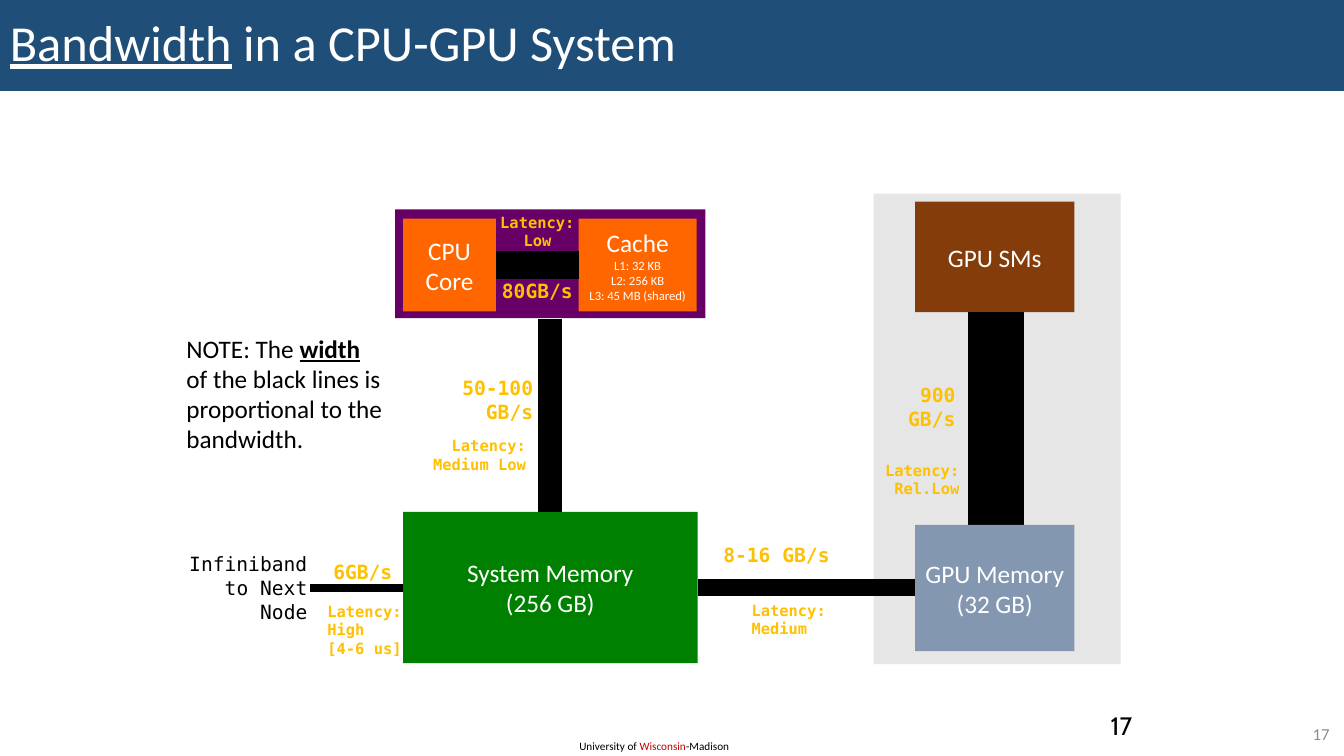
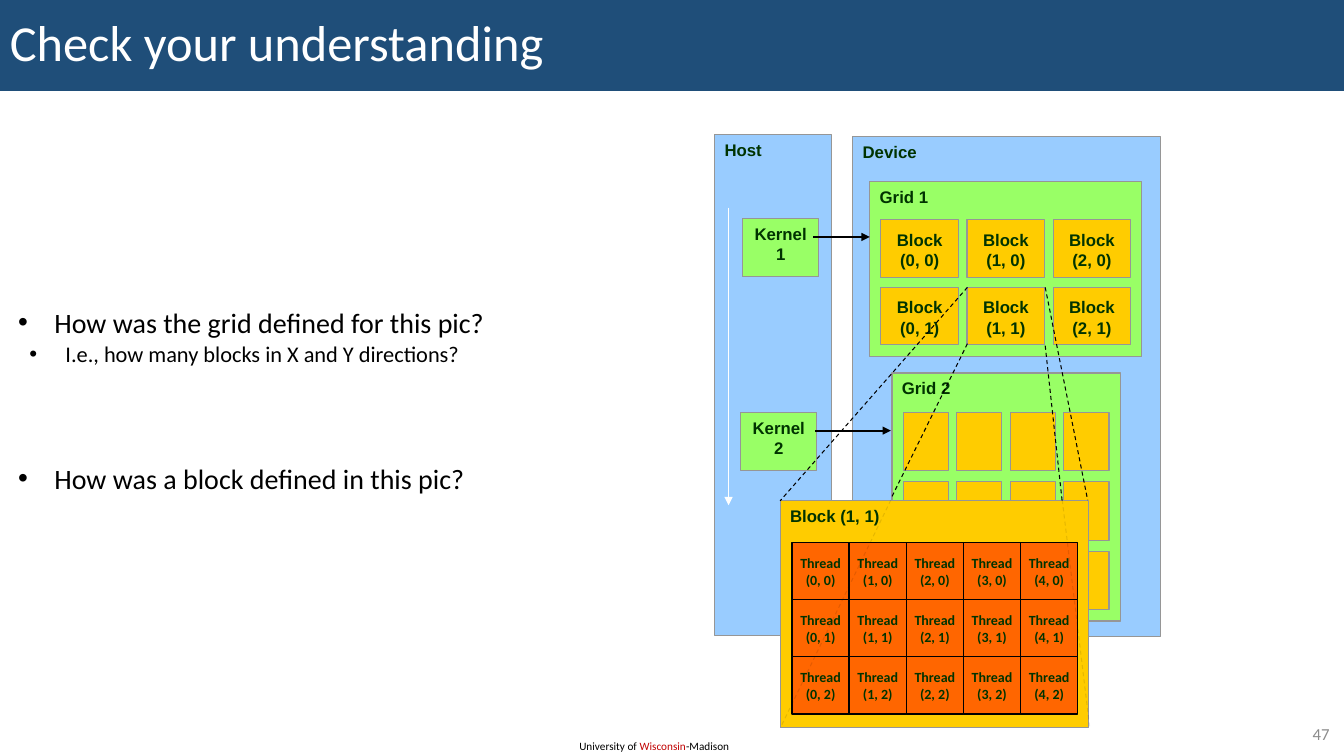
from dataclasses import dataclass
from typing import NamedTuple, Optional

import pptx
import pptx.dml.color
import pptx.enum.dml
import pptx.enum.shapes
import pptx.enum.text
import pptx.oxml.ns
import pptx.util
from lxml import etree
from pptx.util import Cm, Pt

COLORS = {
    "black": "000000", "white": "FFFFFF", "navy": "1F4E79", "red": "C00000",
    "page_gray": "8C8C8C", "panel": "E7E6E6", "green": "008000", "purple": "660066",
    "brown": "843C0B", "orange": "FF6600", "amber": "FFC000", "slate": "8497B0",
    "sky": "99CCFF", "lime": "99FF66", "gold": "FFCC00", "outline": "969696",
    "forest": "003300",
}
LEFT, CENTER, RIGHT = (pptx.enum.text.PP_ALIGN.LEFT, pptx.enum.text.PP_ALIGN.CENTER,
                       pptx.enum.text.PP_ALIGN.RIGHT)
TOP, MIDDLE = pptx.enum.text.MSO_ANCHOR.TOP, pptx.enum.text.MSO_ANCHOR.MIDDLE
DEFAULT_INSETS = (0.25, 0.13, 0.25, 0.13)
SLIDE_WIDTH, SLIDE_HEIGHT = 33.87, 19.05


class Style(NamedTuple):
    size: float
    color: str
    font: str = "Calibri"
    bold: bool = False
    underline: bool = False


class Run(NamedTuple):
    text: str
    style: Style


@dataclass(frozen=True)
class Box:
    """A filled rectangle, or a text box when it has no fill; lengths in cm."""
    left: float
    top: float
    width: float
    height: float
    paragraphs: tuple[tuple[Run, ...], ...] = ()
    fill: Optional[str] = None
    outline: Optional[str] = None
    outline_width: float = 0.75
    align: int = LEFT
    anchor: int = TOP
    wrap: bool = True
    insets: tuple[float, float, float, float] = DEFAULT_INSETS
    line_spacing: Optional[float] = None


class Link(NamedTuple):
    """A straight line from (x1, y1) to (x2, y2) in cm."""
    x1: float
    y1: float
    x2: float
    y2: float
    width: float
    color: str = "black"
    arrow: bool = False
    dashed: bool = False
    opacity: int = 100


class Question(NamedTuple):
    text: str
    size: int
    indent: float
    space_before: int


TITLE = Style(36, "white")
FOOTER = Style(8, "black")
PAGE = Style(12, "page_gray")
PART = Style(18, "white")
CACHE_LEVEL = Style(9, "white")
NOTE = Style(18, "black")
SPEED = Style(14, "amber", "DejaVu Sans Mono", bold=True)
LATENCY = SPEED._replace(size=11)
NETWORK = Style(14, "black", "DejaVu Sans Mono")
CUDA = Style(12, "forest", "Arial", bold=True)
THREAD = Style(10, "forest", bold=True)


def rgb(name: str) -> pptx.dml.color.RGBColor:
    return pptx.dml.color.RGBColor.from_string(COLORS[name])


def plain(style: Style, *texts: str) -> tuple[tuple[Run, ...], ...]:
    """One single-run paragraph for each text."""
    return tuple((Run(text, style),) for text in texts)


def add_run(paragraph, run: Run) -> None:
    added = paragraph.add_run()
    added.text = run.text
    font = added.font
    font.size, font.name = Pt(run.style.size), run.style.font
    font.bold, font.underline = run.style.bold, run.style.underline
    font.color.rgb = rgb(run.style.color)


def add_box(slide, box: Box):
    frame = [Cm(length) for length in (box.left, box.top, box.width, box.height)]
    if box.fill:
        shape = slide.shapes.add_shape(pptx.enum.shapes.MSO_SHAPE.RECTANGLE, *frame)
        shape.shadow.inherit = False
        shape.fill.solid()
        shape.fill.fore_color.rgb = rgb(box.fill)
        if box.outline:
            shape.line.color.rgb = rgb(box.outline)
            shape.line.width = Pt(box.outline_width)
        else:
            shape.line.fill.background()
    else:
        shape = slide.shapes.add_textbox(*frame)
    text = shape.text_frame
    text.word_wrap, text.vertical_anchor = box.wrap, box.anchor
    (text.margin_left, text.margin_top,
     text.margin_right, text.margin_bottom) = map(Cm, box.insets)
    for index, runs in enumerate(box.paragraphs):
        paragraph = text.add_paragraph() if index else text.paragraphs[0]
        paragraph.alignment = box.align
        if box.line_spacing:
            paragraph.line_spacing = box.line_spacing
        for run in runs:
            add_run(paragraph, run)
    return shape


def add_link(slide, link: Link) -> None:
    connector = slide.shapes.add_connector(
        pptx.enum.shapes.MSO_CONNECTOR.STRAIGHT,
        Cm(link.x1), Cm(link.y1), Cm(link.x2), Cm(link.y2))
    connector.line.color.rgb = rgb(link.color)
    connector.line.width = Pt(link.width)
    if link.dashed:
        connector.line.dash_style = pptx.enum.dml.MSO_LINE.DASH
    qn = pptx.oxml.ns.qn
    properties = connector.element.spPr
    stroke = properties.find(qn("a:ln"))
    if link.arrow:
        etree.SubElement(stroke, qn("a:tailEnd"), type="triangle")
    if link.opacity < 100:
        etree.SubElement(next(stroke.iter(qn("a:srgbClr"))), qn("a:alpha"),
                         val=str(link.opacity * 1000))
    etree.SubElement(properties, qn("a:effectLst"))


def add_questions(slide, left: float, top: float, width: float, height: float,
                  questions: list[Question]) -> None:
    qn = pptx.oxml.ns.qn
    paragraphs = tuple((Run(q.text, Style(q.size, "black")),) for q in questions)
    body = add_box(slide, Box(left, top, width, height, paragraphs, line_spacing=0.8))
    for paragraph, question in zip(body.text_frame.paragraphs, questions):
        properties = paragraph._p.get_or_add_pPr()
        properties.set("marL", str(Cm(question.indent)))
        properties.set("indent", str(Cm(-0.91)))
        etree.SubElement(properties, qn("a:buFont"), typeface="Arial")
        etree.SubElement(properties, qn("a:buChar"), char="•")
        paragraph.space_before = Pt(question.space_before)


def start_slide(deck, title: tuple[Run, ...], number: str):
    """Add a blank slide with the title band, footer and page number."""
    slide = deck.slides.add_slide(deck.slide_layouts[6])
    footer = (Run("University of ", FOOTER), Run("Wisconsin", FOOTER._replace(color="red")),
              Run("-Madison", FOOTER))
    add_box(slide, Box(14.35, 18.49, 4.37, 0.61, (footer,)))
    add_box(slide, Box(0, 0, SLIDE_WIDTH, 2.29, (title,), "navy", anchor=MIDDLE,
                       line_spacing=0.9))
    add_box(slide, Box(31.83, 18.11, 1.93, 0.74, plain(PAGE, number), align=RIGHT,
                       anchor=MIDDLE))
    return slide


def part(left: float, top: float, width: float, height: float, fill: str,
         *names: str) -> Box:
    return Box(left, top, width, height, plain(PART, *names), fill,
               align=CENTER, anchor=MIDDLE)


def label(left: float, top: float, width: float, height: float, style: Style,
          *texts: str, align: int = LEFT, wrap: bool = False) -> Box:
    return Box(left, top, width, height, plain(style, *texts), align=align, wrap=wrap)


def build_bandwidth(deck) -> None:
    slide = start_slide(deck, (Run("Bandwidth", TITLE._replace(underline=True)),
                               Run(" in a CPU-GPU System", TITLE)), "17")
    memory_y, cpu_x, gpu_x, cache_y = 14.81, 13.87, 25.1, 6.68
    emphasis = NOTE._replace(bold=True, underline=True)
    note = ((Run("NOTE: The ", NOTE), Run("width", emphasis)),
            *plain(NOTE, "of the black lines is", "proportional to the", "bandwidth."))
    cache = plain(PART, "Cache") + plain(CACHE_LEVEL, "L1: 32 KB", "L2: 256 KB",
                                         "L3: 45 MB (shared)")
    components = [
        label(27.74, 17.78, 1.7, 1.02, Style(18, "black", "Cabin"), "17"),
        Box(22.02, 4.88, 6.22, 11.86, fill="panel"),
        part(10.16, 12.9, 7.42, 3.81, "green", "System Memory", "(256 GB)"),
        Box(9.96, 5.28, 7.82, 2.74, fill="purple"),
        part(23.06, 5.08, 4.02, 2.79, "brown", "GPU SMs"),
        part(10.16, 5.51, 2.34, 2.34, "orange", "CPU Core"),
        Box(14.58, 5.51, 2.98, 2.34, cache, "orange", align=CENTER, anchor=MIDDLE),
    ]
    buses = [
        Link(17.58, memory_y, 23.06, memory_y, 12),
        Link(gpu_x, 7.87, gpu_x, 13.46, 40),
        Link(cpu_x, 12.9, cpu_x, 8.05, 17),
        Link(7.82, memory_y, 10.16, memory_y, 6),
        Link(14.58, cache_y, 12.5, cache_y, 20),
    ]
    captions = [
        label(11.38, 9.35, 2.31, 1.45, SPEED, "50-100", "GB/s", align=RIGHT),
        label(17.98, 13.54, 3.2, 0.86, SPEED, "8-16 GB/s"),
        label(19.25, 9.53, 5.08, 1.45, SPEED, "900", "GB/s", align=RIGHT, wrap=True),
        label(8.15, 13.97, 2.01, 0.86, SPEED, "6GB/s"),
        label(4.39, 13.79, 3.61, 2.06, NETWORK, "Infiniband to Next Node",
              align=RIGHT, wrap=True),
        label(12.4, 6.91, 2.31, 0.86, SPEED, "80GB/s"),
        label(8, 15.04, 2.41, 1.68, LATENCY, "Latency:", "High", "[4-6 us]"),
        label(18.69, 15.01, 2.41, 1.19, LATENCY, "Latency:", "Medium"),
        label(10.64, 10.87, 2.87, 1.19, LATENCY, "Latency:", "Medium Low", align=RIGHT),
        label(12.34, 5.23, 2.41, 1.19, LATENCY, "Latency:", "Low", align=CENTER),
        label(22.02, 11.48, 2.41, 1.19, LATENCY, "Latency:", "Rel.Low", align=RIGHT),
        Box(4.45, 8.26, 5.66, 3.33, note),
        part(23.06, 13.23, 4.02, 3.18, "slate", "GPU Memory", "(32 GB)"),
    ]
    for component in components:
        add_box(slide, component)
    for bus in buses:
        add_link(slide, bus)
    for caption in captions:
        add_box(slide, caption)


def region(left: float, top: float, width: float, height: float, fill: str,
           *texts: str, align: int = LEFT,
           insets: tuple[float, float, float, float] = DEFAULT_INSETS) -> Box:
    return Box(left, top, width, height, plain(CUDA, *texts), fill, "outline",
               align=align, insets=insets)


def build_understanding(deck) -> None:
    slide = start_slide(deck, (Run("Check your understanding", TITLE),), "47")
    add_questions(slide, 0, 7.73, 13.51, 5.2, [
        Question("How was the grid defined for this pic?", 20, 1.12, 0),
        Question("I.e., how many blocks in X and Y directions?", 16, 1.4, 5),
        Question("How was a block defined in this pic?", 20, 1.12, 72),
    ])
    cell = 1.44
    grid_1_blocks = [
        region(22.2 + 2.17 * column, 5.54 + 1.7 * row, 1.96, 1.45, "gold", "Block",
               f"({column}, {row})", align=CENTER, insets=(0, 0.25, 0, 0))
        for row in range(2) for column in range(3)]
    grid_2_blocks = [
        region(22.76 + 1.35 * column, 10.39 + 1.75 * row, 1.14, 1.47, "gold")
        for row in range(3) for column in range(4) if row < 2 or column == 3]
    threads = [
        Box(19.96 + cell * column, 13.67 + cell * row, cell, cell,
            plain(THREAD, "Thread", f"({column}, {row})"), "orange", "black", 1,
            CENTER, MIDDLE, False, (0, 0, 0, 0))
        for row in range(3) for column in range(5)]
    for box in [
        region(18.01, 3.4, 2.95, 12.62, "sky", "Host"),
        region(18.72, 5.51, 1.91, 1.47, "lime", "Kernel 1", align=CENTER),
        region(18.67, 10.39, 1.91, 1.47, "lime", "Kernel 2", align=CENTER),
        region(21.49, 3.43, 7.75, 12.62, "sky", "Device"),
        region(21.92, 4.57, 6.86, 4.42, "lime", "Grid 1"),
        *grid_1_blocks,
        region(22.48, 9.4, 5.77, 6.25, "lime", "Grid 2"),
        *grid_2_blocks,
        region(19.66, 12.62, 7.77, 5.72, "gold", "Block (1, 1)"),
        *threads,
    ]:
        add_box(slide, box)
    for link in [
        Link(18.36, 5.23, 18.36, 12.73, 1, "white", arrow=True),
        Link(20.5, 5.97, 21.92, 5.97, 1.5, arrow=True),
        Link(20.55, 10.85, 22.45, 10.85, 1.5, arrow=True),
        Link(24.38, 7.24, 19.66, 12.62, 0.75, dashed=True),
        Link(26.34, 7.24, 27.41, 12.6, 0.75, dashed=True),
        Link(24.38, 8.66, 22.45, 12.57, 0.75, dashed=True),
        Link(26.34, 8.71, 26.77, 12.65, 0.75, dashed=True),
        Link(22.45, 12.6, 19.69, 18.29, 0.75, dashed=True, opacity=10),
        Link(26.77, 12.6, 27.46, 18.31, 0.75, dashed=True, opacity=10),
    ]:
        add_link(slide, link)


def main() -> None:
    deck = pptx.Presentation()
    deck.slide_width, deck.slide_height = Cm(SLIDE_WIDTH), Cm(SLIDE_HEIGHT)
    build_bandwidth(deck)
    build_understanding(deck)
    deck.save("out.pptx")


if __name__ == "__main__":
    main()
